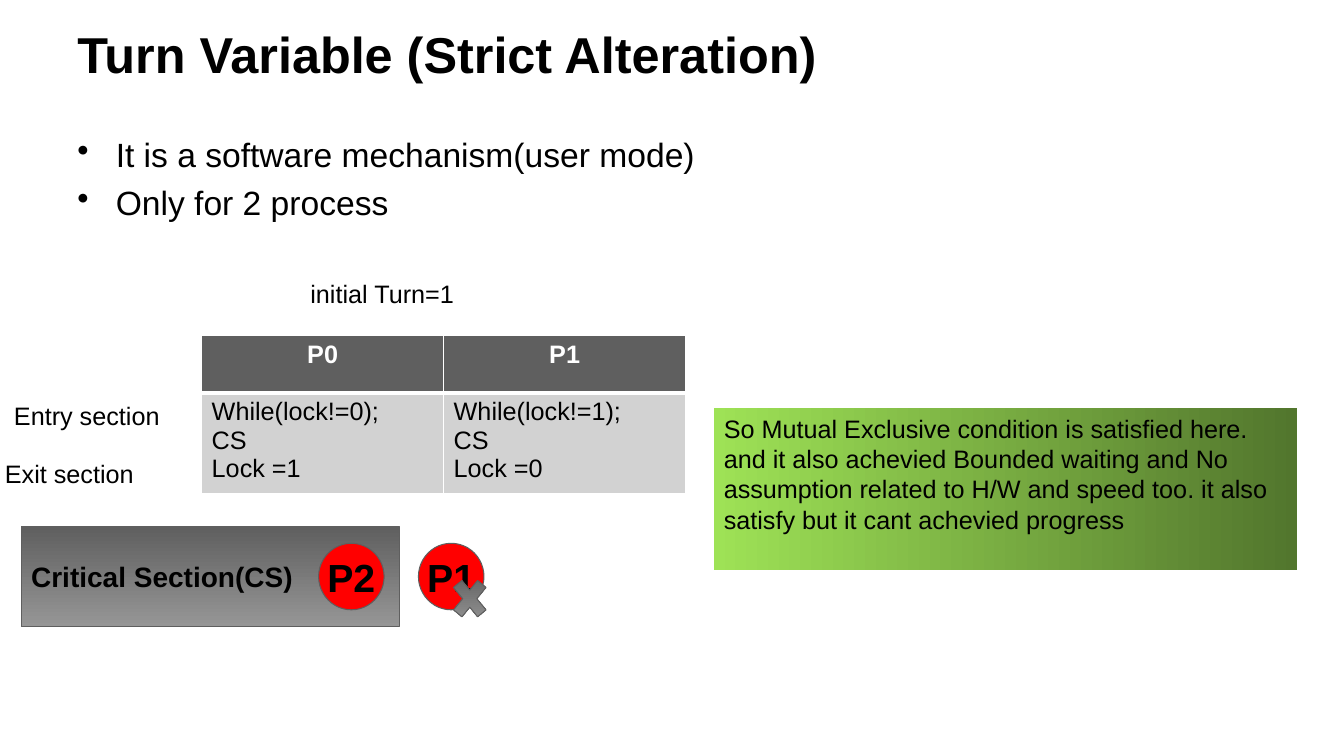
from lxml.etree import SubElement as Sub
from pptx import Presentation
from pptx.dml.color import RGBColor
from pptx.enum.shapes import MSO_SHAPE as Shape
from pptx.enum.text import MSO_ANCHOR as Anchor, PP_ALIGN as Align
from pptx.oxml import parse_xml
from pptx.oxml.ns import nsdecls, qn
from pptx.util import Pt

PX = 9144
BLACK = RGBColor(0x00, 0x00, 0x00)
WHITE = RGBColor(0xFF, 0xFF, 0xFF)
DARK = RGBColor(0x5F, 0x5F, 0x5F)
GRAY = RGBColor(0x96, 0x96, 0x96)
PALE = RGBColor(0xD2, 0xD2, 0xD2)
RED = RGBColor(0xFF, 0x00, 0x00)
LIME = RGBColor(0x9E, 0xE2, 0x56)
MOSS = RGBColor(0x52, 0x76, 0x2D)


def emu(box):
    """Turn a box in px into EMU."""
    return [n * PX for n in box]


def write(frame, lines, size, bold=False, color=BLACK, align=Align.LEFT):
    """Fill a text frame with one paragraph per line."""
    frame.text = "\n".join(lines)
    for para in frame.paragraphs:
        para.alignment = align
        font = para.font
        font.name, font.size, font.bold = "Arial", Pt(size), bold
        font.color.rgb = color


def label(slide, box, text, size=18, bold=False, anchor=Anchor.TOP):
    """Add a one-line text box."""
    frame = slide.shapes.add_textbox(*emu(box)).text_frame
    frame.word_wrap = True
    frame.vertical_anchor = anchor
    write(frame, [text], size, bold)


def points(slide, box, lines):
    """Add the bulleted list."""
    frame = slide.shapes.add_textbox(*emu(box)).text_frame
    frame.word_wrap = True
    frame.text = "\n".join(lines)
    for para in frame.paragraphs:
        props = para._p.get_or_add_pPr()
        props.set("marL", str(38 * PX))
        props.set("indent", str(-38 * PX))
        Sub(props, qn("a:buChar"), char="•")
        para.font.name, para.font.size = "Arial", Pt(24)
        para.font.color.rgb = BLACK
    for para in frame.paragraphs[1:]:
        para.space_before = Pt(5.5)


def edge(cell, head):
    """Draw white borders, thick between header and body."""
    props = cell._tc.get_or_add_tcPr()
    wide = "B" if head else "T"
    for spot, side in enumerate("LRTB"):
        width = Pt(3 if side == wide else 1)
        props.insert(spot, parse_xml(
            f'<a:ln{side} {nsdecls("a")} w="{width}"><a:solidFill>'
            f'<a:srgbClr val="{WHITE}"/></a:solidFill></a:ln{side}>'))


def code(slide, box, cols):
    """Add the table with one column per process."""
    table = slide.shapes.add_table(2, len(cols), *emu(box)).table
    for x, (name, lines) in enumerate(cols):
        top, body = table.cell(0, x), table.cell(1, x)
        write(top.text_frame, [name], 18, True, WHITE, Align.CENTER)
        write(body.text_frame, lines, 18)
        for cell, color in (top, DARK), (body, PALE):
            cell.fill.solid()
            cell.fill.fore_color.rgb = color
            edge(cell, cell is top)


def form(slide, kind, box, colors, angle=270, line=True):
    """Add a preset shape with a plain or gradient fill."""
    shape = slide.shapes.add_shape(kind, *emu(box))
    shape.shadow.inherit = False
    if len(colors) == 1:
        shape.fill.solid()
        shape.fill.fore_color.rgb = colors[0]
    else:
        shape.fill.gradient()
        shape.fill.gradient_angle = angle
        for stop, color in zip(shape.fill.gradient_stops, colors):
            stop.color.rgb = color
    if line:
        shape.line.color.rgb = DARK
        shape.line.width = Pt(0.75)
    else:
        shape.line.fill.background()
    return shape


def lock(slide, box):
    """Draw the critical section, its holder and the blocked process."""
    left, top, wide, high = box
    room = form(slide, Shape.RECTANGLE, box, (DARK, GRAY)).text_frame
    room.word_wrap = False
    room.vertical_anchor = Anchor.MIDDLE
    write(room, ["Critical Section(CS)"], 20, True)
    for n, name in enumerate(("P2", "P1")):
        spot = left + 295 + n * 99, top + 17, 65, 66
        ball = form(slide, Shape.OVAL, spot, (RED,)).text_frame
        ball.word_wrap = False
        ball.vertical_anchor = Anchor.MIDDLE
        write(ball, [name], 28, True, align=Align.CENTER)
    cross = left + wide + 47, top + 44, 46, 56
    form(slide, Shape.MATH_MULTIPLY, cross, (DARK, GRAY))


def note(slide, box, lines):
    """Add the green remark."""
    shape = form(slide, Shape.RECTANGLE, box, (LIME, MOSS), 0, False)
    shape.text_frame.word_wrap = True
    shape.text_frame.vertical_anchor = Anchor.TOP
    write(shape.text_frame, lines, 18)


def main():
    """Build and save the slide."""
    deck = Presentation()
    deck.slide_width, deck.slide_height = emu((1333, 750))
    slide = deck.slides.add_slide(deck.slide_layouts[6])
    label(slide, (67, 21, 1200, 64), "Turn Variable (Strict Alteration)",
          36, True, Anchor.MIDDLE)
    points(slide, (67, 128, 667, 105),
           ["It is a software mechanism(user mode)", "Only for 2 process"])
    code(slide, (200, 333, 480, 114), [
        ("P0", ["While(lock!=0);", "CS", "Lock =1"]),
        ("P1", ["While(lock!=1);", "CS", "Lock =0"])])
    for x, y, text in ((4, 392, "Entry section"), (-5, 450, "Exit section"),
                       (298, 271, "initial Turn=1")):
        label(slide, (x, y, 205, 40), text)
    lock(slide, (21, 522, 375, 100))
    note(slide, (708, 405, 578, 161), [
        "So Mutual Exclusive condition is satisfied here.",
        "and it also achevied Bounded waiting and No assumption related to "
        "H/W and speed too. it also satisfy but it cant achevied progress"])
    deck.save("out.pptx")


if __name__ == "__main__":
    main()
